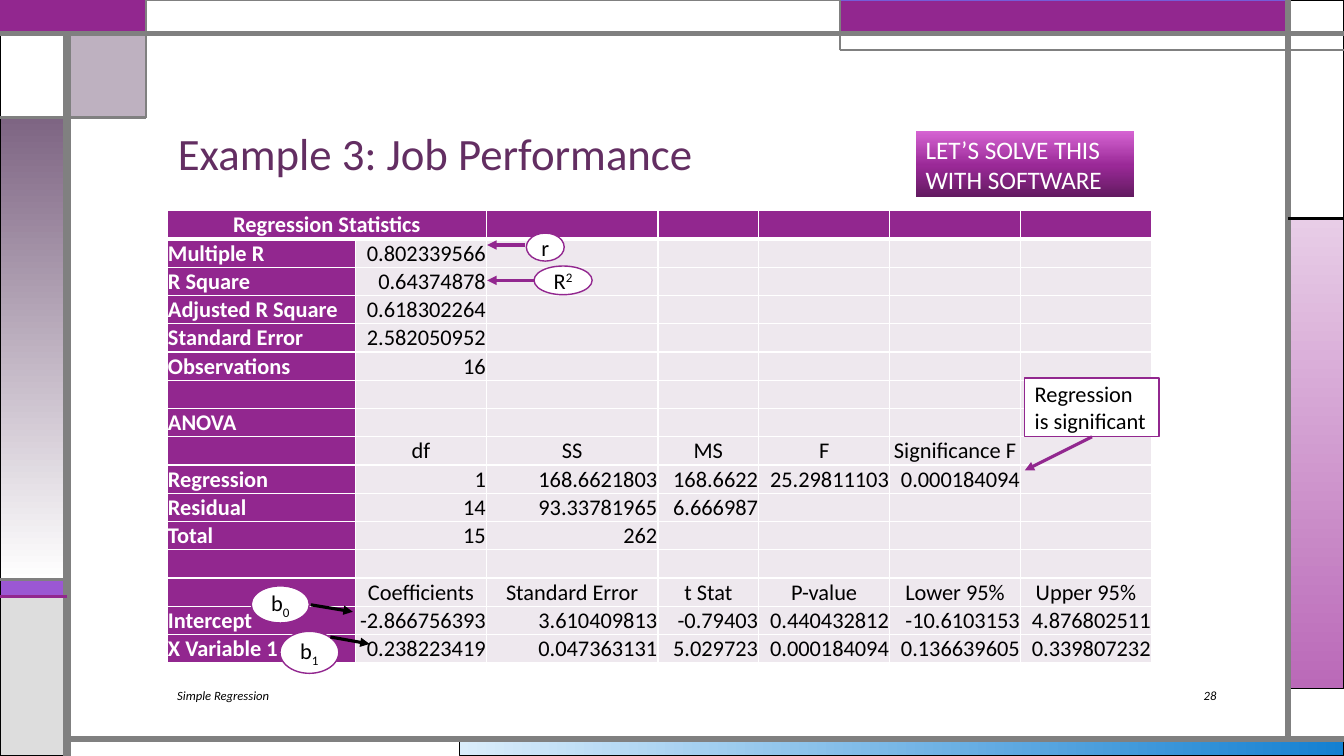
from pptx import Presentation
from pptx.dml.color import RGBColor
from pptx.enum import shapes, text
from pptx.oxml import parse_xml
from pptx.util import Pt

FONT = "Calibri"
PURPLE = RGBColor(0x92, 0x27, 0x8F)
VIOLET = RGBColor(0x9B, 0x57, 0xD3)
BLUE_VIOLET = RGBColor(0x75, 0x5D, 0xD9)
MAUVE = RGBColor(0x7E, 0x65, 0x83)
PLUM = RGBColor(0x63, 0x2E, 0x62)
PALE = RGBColor(0xEE, 0xE8, 0xEE)
SILVER = RGBColor(0xDD, 0xDD, 0xDD)
GRAY = RGBColor(0x80, 0x80, 0x80)
BLACK = RGBColor(0, 0, 0)
WHITE = RGBColor(255, 255, 255)
SKY, BLUE = RGBColor(0xDA, 0xED, 0xFB), RGBColor(0x14, 0x80, 0xD1)
PINK, ORCHID = RGBColor(0xE8, 0xCD, 0xE7), RGBColor(0xBA, 0x69, 0xB8)
BADGE = [(0, RGBColor(0x62, 0x1A, 0x60)), (48, RGBColor(0x9A, 0x29, 0x97)),
         (100, RGBColor(0xD6, 0x65, 0xD3))]

NS = 'xmlns:a="http://schemas.openxmlformats.org/drawingml/2006/main"'
RECT, OVAL = shapes.MSO_SHAPE.RECTANGLE, shapes.MSO_SHAPE.OVAL
LEFT, CENTER, RIGHT = text.PP_ALIGN.LEFT, text.PP_ALIGN.CENTER, text.PP_ALIGN.RIGHT
MIDDLE, BOTTOM = text.MSO_ANCHOR.MIDDLE, text.MSO_ANCHOR.BOTTOM

COLUMNS = [134.5, 93.5, 122.5, 72, 93.5, 93.5, 93.5]
ROW_HEIGHT = 20.2
ROWS = [
    ["Regression Statistics"],
    ["Multiple R", "0.802339566"],
    ["R Square", "0.64374878"],
    ["Adjusted R Square", "0.618302264"],
    ["Standard Error", "2.582050952"],
    ["Observations", "16"],
    [],
    ["ANOVA"],
    ["", "df", "SS", "MS", "F", "Significance F"],
    ["Regression", "1", "168.6621803", "168.6622", "25.29811103", "0.000184094"],
    ["Residual", "14", "93.33781965", "6.666987"],
    ["Total", "15", "262"],
    [],
    ["", "Coefficients", "Standard Error", "t Stat", "P-value", "Lower 95%", "Upper 95%"],
    ["Intercept", "-2.866756393", "3.610409813", "-0.79403", "0.440432812",
     "-10.6103153", "4.876802511"],
    ["X Variable 1", "0.238223419", "0.047363131", "5.029723", "0.000184094",
     "0.136639605", "0.339807232"],
]


def write(frame, words, size=16, color=BLACK, align=LEFT, anchor=MIDDLE, bold=False,
          italic=False, wrap=True, spacing=None, script="", baseline=0):
    """Fill a text frame; script is a trailing sub- or superscript."""
    frame.word_wrap = wrap
    frame.vertical_anchor = anchor
    para = frame.paragraphs[0]
    para.alignment = align
    if spacing:
        para.line_spacing = spacing
    for piece in filter(None, (words, script)):
        span = para.add_run()
        span.text = piece
        font = span.font
        font.name, font.size, font.bold, font.italic = FONT, Pt(size), bold, italic
        font.color.rgb = color
        if piece == script:
            span._r.get_or_add_rPr().set("baseline", str(baseline * 1000))


def add_text(page, box, words, **style):
    label = page.shapes.add_textbox(*map(Pt, box))
    write(label.text_frame, words, **style)


def add_block(page, box, fill, line=None, width=0.75, kind=RECT, angle=90, alpha=None):
    """Add a shape; fill is a colour or a list of (percent, colour) stops."""
    block = page.shapes.add_shape(kind, *map(Pt, box))
    block.shadow.inherit = False
    if isinstance(fill, list):
        stops = "".join(f'<a:gs pos="{at * 1000}"><a:srgbClr val="{color}"/></a:gs>'
                        for at, color in fill)
        block._element.spPr.prstGeom.addnext(parse_xml(
            f'<a:gradFill {NS} rotWithShape="1"><a:gsLst>{stops}</a:gsLst>'
            f'<a:lin ang="{angle * 60000}" scaled="0"/></a:gradFill>'))
    else:
        block.fill.solid()
        block.fill.fore_color.rgb = fill
        if alpha:
            block.fill._xPr.solidFill[0].append(
                parse_xml(f'<a:alpha {NS} val="{alpha * 1000}"/>'))
    if line is None:
        block.line.fill.background()
    else:
        block.line.color.rgb = line
        block.line.width = Pt(width)
    return block


def add_line(page, ends, color, width, arrow=False):
    line = page.shapes.add_connector(shapes.MSO_CONNECTOR.STRAIGHT, *map(Pt, ends))
    line.line.color.rgb = color
    line.line.width = Pt(width)
    line._element.spPr.append(parse_xml(f"<a:effectLst {NS}/>"))
    if arrow:
        line.line._get_or_add_ln().append(parse_xml(f'<a:tailEnd {NS} type="triangle"/>'))
    return line


def add_frame(page, width, height):
    """Draw the coloured border blocks and rules around the page."""
    inner, right, top, floor = 48, 920, 24, 528
    side = width - right
    add_block(page, (328, floor, width - 328, height - floor), [(0, SKY), (100, BLUE)],
              BLACK, angle=0)
    add_block(page, (right, 156, side, 336), [(0, PINK), (100, ORCHID)], BLACK)
    add_block(page, (0, 414, inner, 12), VIOLET, BLACK)
    add_block(page, (0, 426, inner, height - 426), SILVER, BLACK)
    add_block(page, (right, 0, side, 156), WHITE, BLACK)
    add_block(page, (600, 0, right - 600, top), PURPLE, BLUE_VIOLET)
    add_block(page, (inner, top, 56, 60), MAUVE, BLACK, alpha=50)
    add_block(page, (0, 84, inner, 330), [(0, MAUVE), (100, WHITE)], BLACK)
    add_block(page, (0, top, inner, 60), WHITE, BLACK)
    add_block(page, (0, 0, 104, top), PURPLE, PURPLE, 1.5)
    add_block(page, (104, 0, 496, top), WHITE, GRAY)
    for ends, color, weight in [
        ((inner, height, inner, top), GRAY, 6),
        ((inner, floor, width, floor), GRAY, 4.5),
        ((right, floor, right, 0), GRAY, 4.5),
        ((0, top, width, top), GRAY, 3),
        ((width, 36, 600, 36), GRAY, 1.5),
        ((600, 36, 600, 0), GRAY, 1.5),
        ((right, 156, width, 156), BLACK, 2.25),
        ((104, 0, 104, 84), GRAY, 1.5),
        ((104, 84, 0, 84), GRAY, 2.25),
        ((inner, 414, 0, 414), GRAY, 2.25),
        ((inner, 426, 0, 426), PURPLE, 2.25),
    ]:
        add_line(page, ends, color, weight)


def add_regression_table(page, left, top):
    table = page.shapes.add_table(len(ROWS), len(COLUMNS), Pt(left), Pt(top),
                                  Pt(sum(COLUMNS)), Pt(ROW_HEIGHT * len(ROWS))).table
    for column, width in zip(table.columns, COLUMNS):
        column.width = Pt(width)
    for r, values in enumerate(ROWS):
        table.rows[r].height = Pt(ROW_HEIGHT)
        for c in range(len(COLUMNS)):
            cell = table.cell(r, c)
            heading = r == 0 or c == 0
            cell.fill.solid()
            cell.fill.fore_color.rgb = PURPLE if heading else PALE
            cell.margin_left = cell.margin_right = cell.margin_top = Pt(0.5)
            cell.margin_bottom = 0
            cell.vertical_anchor = BOTTOM
            # White cell borders, thicker under the header row
            weights = {"L": 1, "R": 1, "T": 3 if r == 1 else 1, "B": 3 if r == 0 else 1}
            for place, (side, weight) in enumerate(weights.items()):
                cell._tc.get_or_add_tcPr().insert(place, parse_xml(
                    f'<a:ln{side} {NS} w="{Pt(weight)}"><a:solidFill>'
                    f'<a:srgbClr val="{WHITE}"/></a:solidFill></a:ln{side}>'))
            words = values[c] if c < len(values) else ""
            if words:
                number = words.lstrip("-")[0].isdigit()
                align = RIGHT if number else LEFT if c == 0 and r else CENTER
                write(cell.text_frame, words, color=WHITE if heading else BLACK,
                      align=align, anchor=BOTTOM, bold=heading)
            else:
                cell.text_frame.paragraphs[0]._p.get_or_add_endParaRPr().set("sz", "1600")
    table.cell(0, 0).merge(table.cell(0, 1))


def add_callouts(page):
    """Mark the key results in the table with labels and arrows."""
    for box, letter, script, baseline in [
        ((179.5, 418.5, 41.5, 26.5), "b", "0", -25),
        ((381.5, 190, 41.5, 20.5), "R", "2", 30),
        ((376, 166.5, 27, 20), "r", "", 0),
        ((200, 451, 42, 30), "b", "1", -25),
    ]:
        oval = add_block(page, box, WHITE, PURPLE, 1, OVAL)
        write(oval.text_frame, letter, align=CENTER, wrap=False,
              script=script, baseline=baseline)
    verdict = add_block(page, (732, 270, 96, 42), WHITE, PURPLE, 1)
    write(verdict.text_frame, "Regression is significant")
    pointer = add_line(page, (780, 312, 732, 336), PURPLE, 2.25, arrow=True)
    pointer.begin_connect(verdict, 2)
    for ends, color in [
        ((375, 175, 348, 175), PURPLE),
        ((381.5, 200.25, 348, 200.25), PURPLE),
        ((222, 432, 252, 437), BLACK),
        ((236, 455, 264, 460), BLACK),
    ]:
        add_line(page, ends, color, 2.25, arrow=True)


def main():
    deck = Presentation()
    width, height = 960, 540
    deck.slide_width, deck.slide_height = Pt(width), Pt(height)
    page = deck.slides.add_slide(deck.slide_layouts[6])
    add_frame(page, width, height)
    # Title and footer
    add_text(page, (120, 42, 756, 90), "Example 3: Job Performance", size=32, color=PLUM,
             anchor=BOTTOM, spacing=0.9)
    add_text(page, (119.5, 486, 541, 21.5), "Simple Regression", size=9, italic=True)
    add_text(page, (798, 486, 78, 21.5), "28", size=9, italic=True, align=RIGHT)
    # Results
    add_regression_table(page, 119.5, 150.5)
    badge = add_block(page, (654, 93.5, 156, 47.5), BADGE, angle=270)
    write(badge.text_frame, "LET’S SOLVE THIS WITH SOFTWARE", size=18, color=WHITE)
    add_callouts(page)
    deck.save("out.pptx")


if __name__ == "__main__":
    main()
